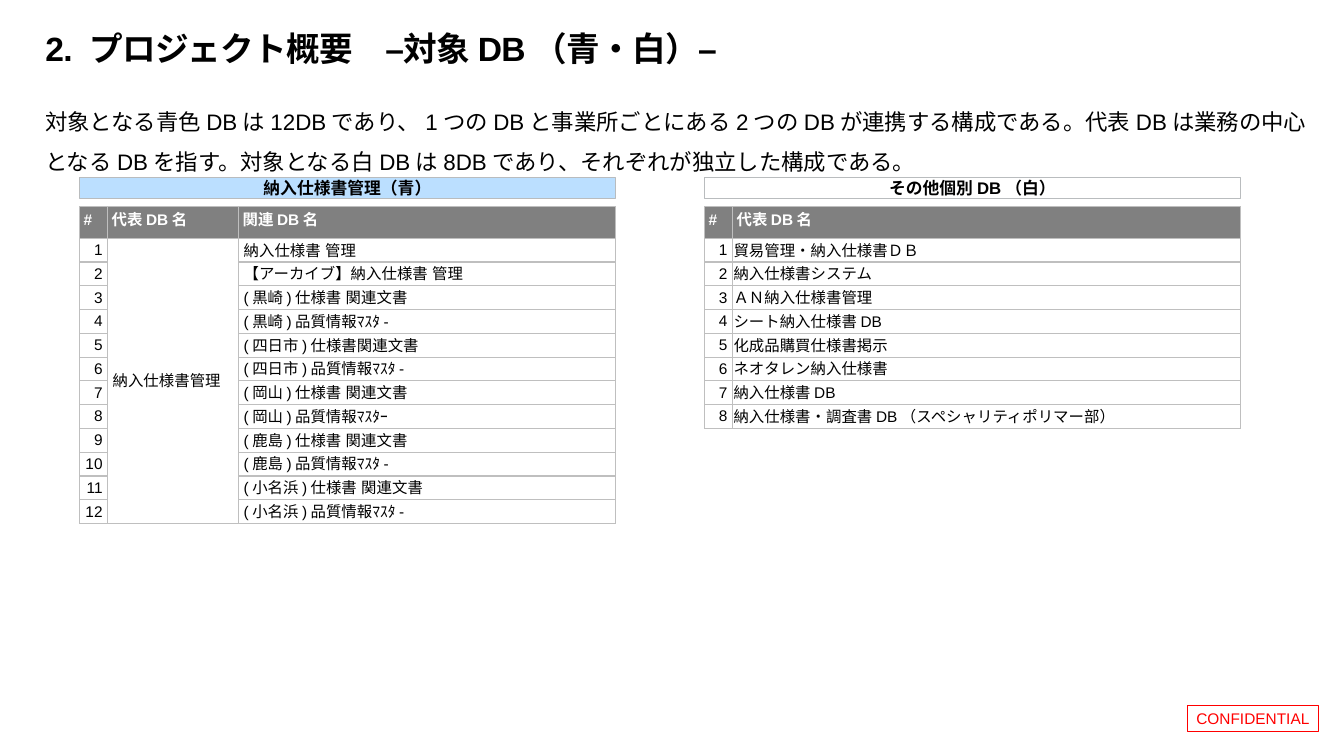
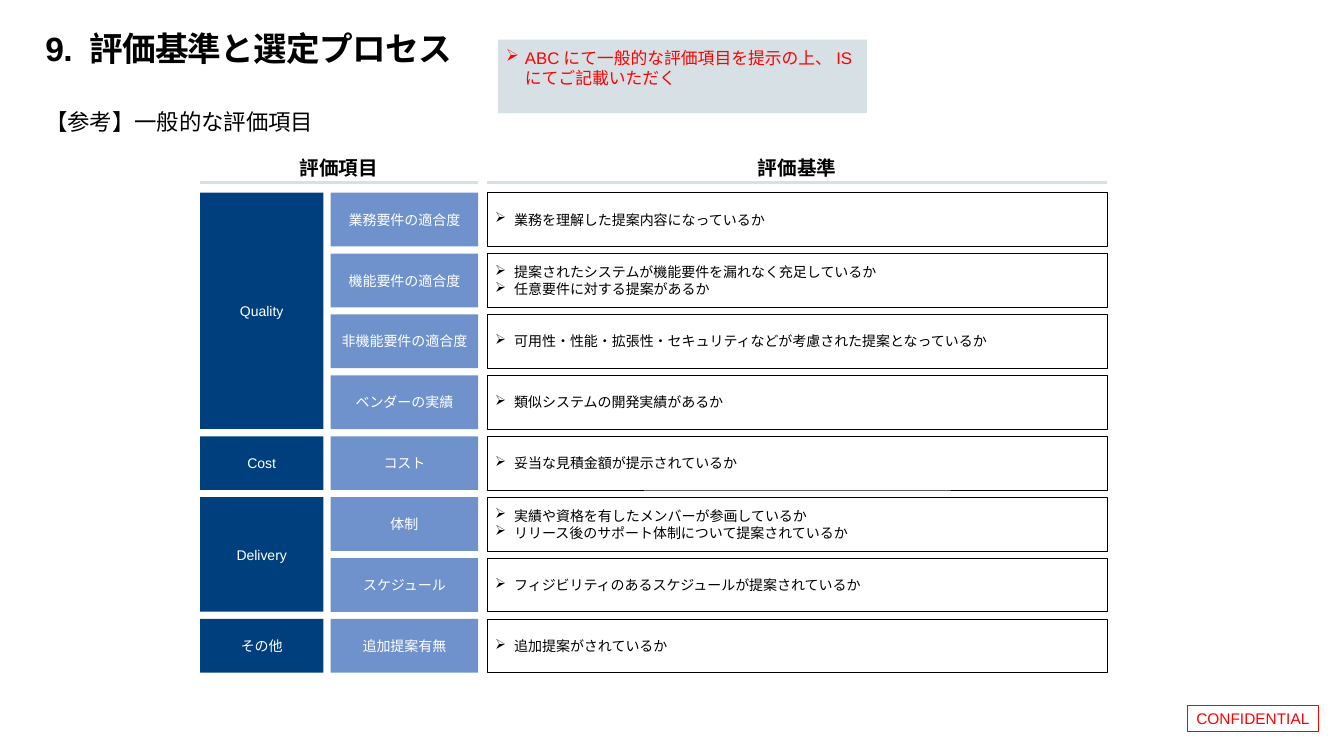
from lxml.etree import SubElement
from pptx import Presentation
from pptx.dml.color import RGBColor
from pptx.enum.shapes import MSO_CONNECTOR, MSO_SHAPE
from pptx.enum.text import MSO_ANCHOR, PP_ALIGN
from pptx.oxml.ns import qn
from pptx.util import Pt

# Colours
BLACK = RGBColor(0x00, 0x00, 0x00)
WHITE = RGBColor(0xFF, 0xFF, 0xFF)
RED = RGBColor(0xFF, 0x00, 0x00)
GRAY = RGBColor(0x80, 0x80, 0x80)
CELL_BORDER = RGBColor(0xBF, 0xBF, 0xBF)
CAPTION_BORDER = RGBColor(0xB9, 0xBC, 0xBE)
LIGHT_BLUE = RGBColor(0xBB, 0xDF, 0xFF)
NOTE_FILL = RGBColor(0xD7, 0xE0, 0xE5)
RULE = RGBColor(0xD6, 0xE0, 0xE5)
NAVY = RGBColor(0x00, 0x3F, 0x7E)
BLUE = RGBColor(0x6F, 0x92, 0xCC)

# Shared measures, in points
MARGIN = 32.4
BODY_WIDTH = 909.4
BULLET_INDENT = 13.6
HEADER_HEIGHT, ROW_HEIGHT = 22.6, 17
TABLE_TOP, TABLE_WIDTH = 147.6, 382.6
BLUE_LEFT, WHITE_LEFT = 56.9, 503.3
GRID_TOP, BOX_HEIGHT, PITCH = 137.6, 38.4, 43.5
CATEGORY_COL, ITEM_COL, CRITERIA_COL = (142.9, 88.1), (236.2, 105.3), (348, 442.8)

# Slide content
RELATED_DBS = [
    "納入仕様書 管理",
    "【アーカイブ】納入仕様書 管理",
    "(黒崎)仕様書 関連文書",
    "(黒崎)品質情報ﾏｽﾀ-",
    "(四日市)仕様書関連文書",
    "(四日市)品質情報ﾏｽﾀ-",
    "(岡山)仕様書 関連文書",
    "(岡山)品質情報ﾏｽﾀｰ",
    "(鹿島)仕様書 関連文書",
    "(鹿島)品質情報ﾏｽﾀ-",
    "(小名浜)仕様書 関連文書",
    "(小名浜)品質情報ﾏｽﾀ-",
]
OTHER_DBS = [
    "貿易管理・納入仕様書ＤＢ",
    "納入仕様書システム",
    "ＡＮ納入仕様書管理",
    "シート納入仕様書DB",
    "化成品購買仕様書掲示",
    "ネオタレン納入仕様書",
    "納入仕様書DB",
    "納入仕様書・調査書DB（スペシャリティポリマー部）",
]
EVALUATION = [
    ("Quality", [
        ("業務要件の適合度", ["業務を理解した提案内容になっているか"]),
        ("機能要件の適合度", ["提案されたシステムが機能要件を漏れなく充足しているか",
                      "任意要件に対する提案があるか"]),
        ("非機能要件の適合度", ["可用性・性能・拡張性・セキュリティなどが考慮された提案となっているか"]),
        ("ベンダーの実績", ["類似システムの開発実績があるか"]),
    ]),
    ("Cost", [("コスト", ["妥当な見積金額が提示されているか"])]),
    ("Delivery", [
        ("体制", ["実績や資格を有したメンバーが参画しているか",
                "リリース後のサポート体制について提案されているか"]),
        ("スケジュール", ["フィジビリティのあるスケジュールが提案されているか"]),
    ]),
    ("その他", [("追加提案有無", ["追加提案がされているか"])]),
]


def write(tf, lines, size=11, color=BLACK, bold=False, font="Arial", align=PP_ALIGN.LEFT,
          bullet=None, spacing=None, before=None, tracking=None):
    """Fill a text frame with one paragraph for each line."""
    for i, line in enumerate(lines):
        p = tf.paragraphs[0] if i == 0 else tf.add_paragraph()
        p.alignment = align
        if spacing:
            p.line_spacing = spacing
        if before:
            p.space_before = Pt(before)
        if bullet:
            pPr = p._p.get_or_add_pPr()
            pPr.set("marL", str(Pt(BULLET_INDENT)))
            pPr.set("indent", str(-Pt(BULLET_INDENT)))
            SubElement(pPr, qn("a:buChar"), char=bullet)
        r = p.add_run()
        r.text = line
        r.font.size, r.font.bold, r.font.name = Pt(size), bold, font
        r.font.color.rgb = color
        rPr = r._r.get_or_add_rPr()
        SubElement(rPr, qn("a:ea"), typeface=font)
        if tracking:
            rPr.set("spc", str(int(tracking * 100)))


def set_insets(target, left, top, right, bottom):
    target.margin_left, target.margin_top = Pt(left), Pt(top)
    target.margin_right, target.margin_bottom = Pt(right), Pt(bottom)


def add_text(s, x, y, w, h, text, anchor=MSO_ANCHOR.TOP, insets=(0, 0, 0, 0), **fmt):
    tf = s.shapes.add_textbox(Pt(x), Pt(y), Pt(w), Pt(h)).text_frame
    tf.word_wrap = True
    tf.vertical_anchor = anchor
    set_insets(tf, *insets)
    write(tf, [text], **fmt)


def add_box(s, x, y, w, h, lines, fill=None, line=None, line_width=0.5,
            anchor=MSO_ANCHOR.MIDDLE, inset=5.7, **fmt):
    sp = s.shapes.add_shape(MSO_SHAPE.RECTANGLE, Pt(x), Pt(y), Pt(w), Pt(h))
    sp.shadow.inherit = False
    if fill is None:
        sp.fill.background()
    else:
        sp.fill.solid()
        sp.fill.fore_color.rgb = fill
    if line is None:
        sp.line.fill.background()
    else:
        sp.line.color.rgb = line
        sp.line.width = Pt(line_width)
    tf = sp.text_frame
    tf.word_wrap = True
    tf.vertical_anchor = anchor
    set_insets(tf, *[inset] * 4)
    write(tf, lines, **fmt)


def add_rule(s, x, y, w):
    rule = s.shapes.add_connector(MSO_CONNECTOR.STRAIGHT, Pt(x), Pt(y), Pt(x + w), Pt(y))
    rule.line.color.rgb = RULE
    rule.line.width = Pt(2.25)
    SubElement(rule._element.spPr, qn("a:effectLst"))


def set_cell(cell, text, insets, fill=None, anchor=MSO_ANCHOR.MIDDLE, **fmt):
    tcPr = cell._tc.get_or_add_tcPr()
    for side in ("lnL", "lnR", "lnT", "lnB"):
        ln = SubElement(tcPr, qn(f"a:{side}"), w=str(Pt(1)))
        SubElement(SubElement(ln, qn("a:solidFill")), qn("a:srgbClr"), val=str(CELL_BORDER))
    if fill is None:
        cell.fill.background()
    else:
        cell.fill.solid()
        cell.fill.fore_color.rgb = fill
    cell.vertical_anchor = anchor
    set_insets(cell, *insets)
    write(cell.text_frame, [text], **fmt)


def add_db_table(s, x, widths, header, rows, name_inset):
    """Draw a numbered list of databases; the last column holds the names."""
    height = HEADER_HEIGHT + ROW_HEIGHT * len(rows)
    table = s.shapes.add_table(len(rows) + 1, len(widths), Pt(x), Pt(TABLE_TOP),
                               Pt(sum(widths)), Pt(height)).table
    table.first_row = table.horz_banding = False
    for column, width in zip(table.columns, widths):
        column.width = Pt(width)
    for i, row in enumerate(table.rows):
        row.height = Pt(ROW_HEIGHT if i else HEADER_HEIGHT)
    for c, text in enumerate(header):
        set_cell(table.cell(0, c), text, (2.9, 3.6, 2.9, 3.6), fill=GRAY,
                 anchor=MSO_ANCHOR.TOP, color=WHITE, bold=True)
    last = len(widths) - 1
    for i, values in enumerate(rows, 1):
        for c, text in enumerate((str(i), *values)):
            insets = (name_inset, 0.7, name_inset, 0) if c == last else (3.6, 0, 3.6, 0)
            set_cell(table.cell(i, c), text, insets,
                     align=PP_ALIGN.LEFT if c else PP_ALIGN.RIGHT)
    return table


def add_base_slide(prs, title, lead):
    """Add a slide with the shared title, lead text and confidentiality label."""
    s = prs.slides.add_slide(prs.slide_layouts[6])
    add_box(s, 848.2, 504, 93.6, 18.7, ["CONFIDENTIAL"], line=RED, line_width=0.75,
            inset=2.9, color=RED, align=PP_ALIGN.CENTER)
    add_text(s, MARGIN, 20.2, 734.4, 28.8, title, anchor=MSO_ANCHOR.BOTTOM,
             size=24, bold=True, tracking=-0.5)
    add_text(s, MARGIN, 67.7, BODY_WIDTH, 61.2, lead, size=16, spacing=1.5, before=10)
    return s


def build_database_slide(prs):
    s = add_base_slide(
        prs, "2. プロジェクト概要　–対象DB（青・白）–",
        "対象となる青色DBは12DBであり、1つのDBと事業所ごとにある2つのDBが連携する構成である。"
        "代表DBは業務の中心となるDBを指す。対象となる白DBは8DBであり、それぞれが独立した構成である。")
    # Table captions
    for x, caption, fill in ((BLUE_LEFT, "納入仕様書管理（青）", LIGHT_BLUE),
                             (WHITE_LEFT, "その他個別DB（白）", WHITE)):
        add_box(s, x, 126.7, TABLE_WIDTH, 15.1, [caption], fill=fill, line=CAPTION_BORDER,
                size=12, bold=True, align=PP_ALIGN.CENTER)
    # One main database spans all related ones
    main_names = ["納入仕様書管理"] + [""] * (len(RELATED_DBS) - 1)
    table = add_db_table(s, BLUE_LEFT, (20, 93.6, 269), ("#", "代表DB名", "関連DB名"),
                         list(zip(main_names, RELATED_DBS)), 3.6)
    table.cell(1, 1).merge(table.cell(len(RELATED_DBS), 1))
    # Independent databases
    add_db_table(s, WHITE_LEFT, (20, 362.6), ("#", "代表DB名"),
                 [(name,) for name in OTHER_DBS], 0.7)


def build_evaluation_slide(prs):
    s = add_base_slide(prs, "9. 評価基準と選定プロセス", "【参考】一般的な評価項目")
    add_box(s, 355.7, 28.3, 263.5, 52.6, ["ABCにて一般的な評価項目を提示の上、ISにてご記載いただく"],
            fill=NOTE_FILL, anchor=MSO_ANCHOR.TOP, size=12, color=RED, bullet="➢")
    # Column headings
    left = CATEGORY_COL[0]
    for x, w, heading in ((left, sum(ITEM_COL) - left, "評価項目"),
                          (*CRITERIA_COL, "評価基準")):
        add_text(s, x, 108, w, 24.5, heading, insets=(7.2, 3.6, 7.2, 3.6), size=14, bold=True,
                 font="Noto Sans CJK JP", align=PP_ALIGN.CENTER)
        add_rule(s, x, 130.4, w)
    # Categories, items and criteria
    label = dict(size=10, color=WHITE, align=PP_ALIGN.CENTER)
    y = GRID_TOP
    for category, items in EVALUATION:
        x, w = CATEGORY_COL
        add_box(s, x, y, w, PITCH * (len(items) - 1) + BOX_HEIGHT, [category], fill=NAVY, **label)
        for item, criteria in items:
            x, w = ITEM_COL
            add_box(s, x, y, w, BOX_HEIGHT, [item], fill=BLUE, **label)
            x, w = CRITERIA_COL
            add_box(s, x, y, w, BOX_HEIGHT, criteria, line=BLACK, size=10, bullet="➢")
            y += PITCH


def main():
    prs = Presentation()
    prs.slide_width, prs.slide_height = Pt(960), Pt(540)
    build_database_slide(prs)
    build_evaluation_slide(prs)
    prs.save("out.pptx")


if __name__ == "__main__":
    main()
